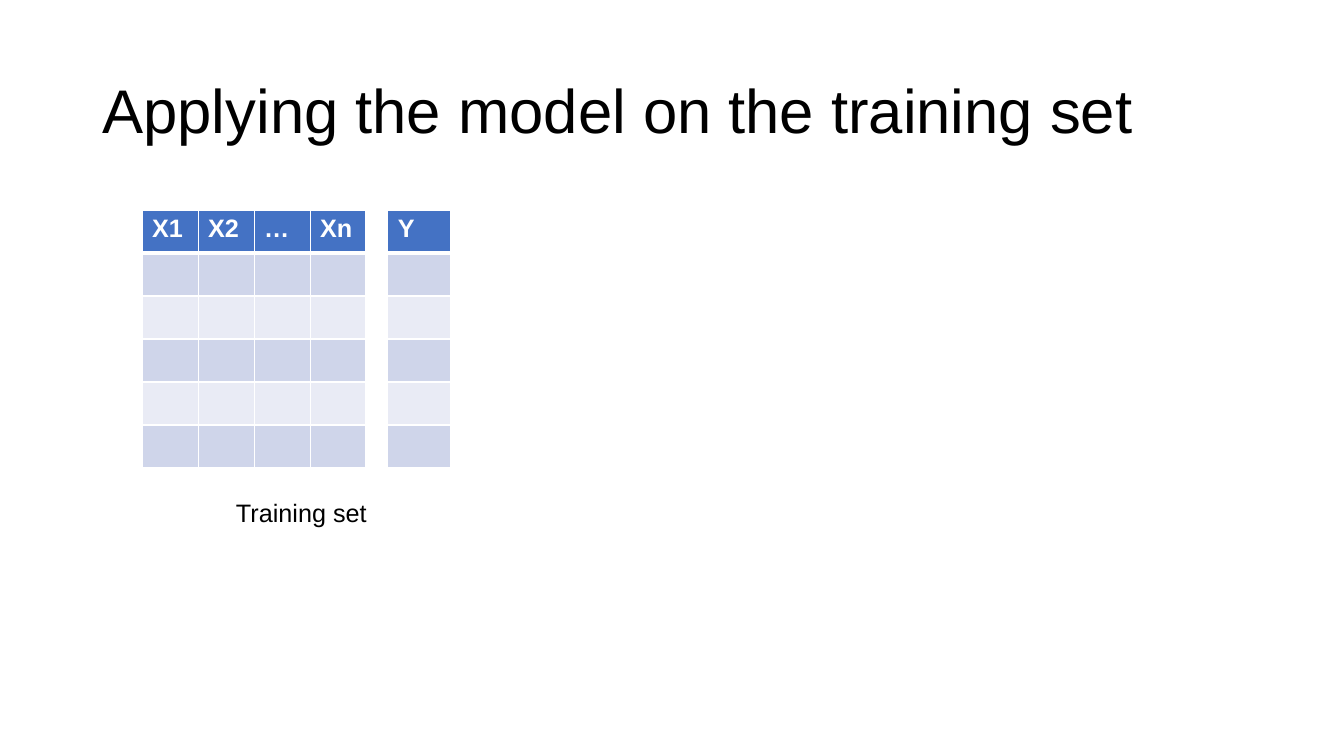
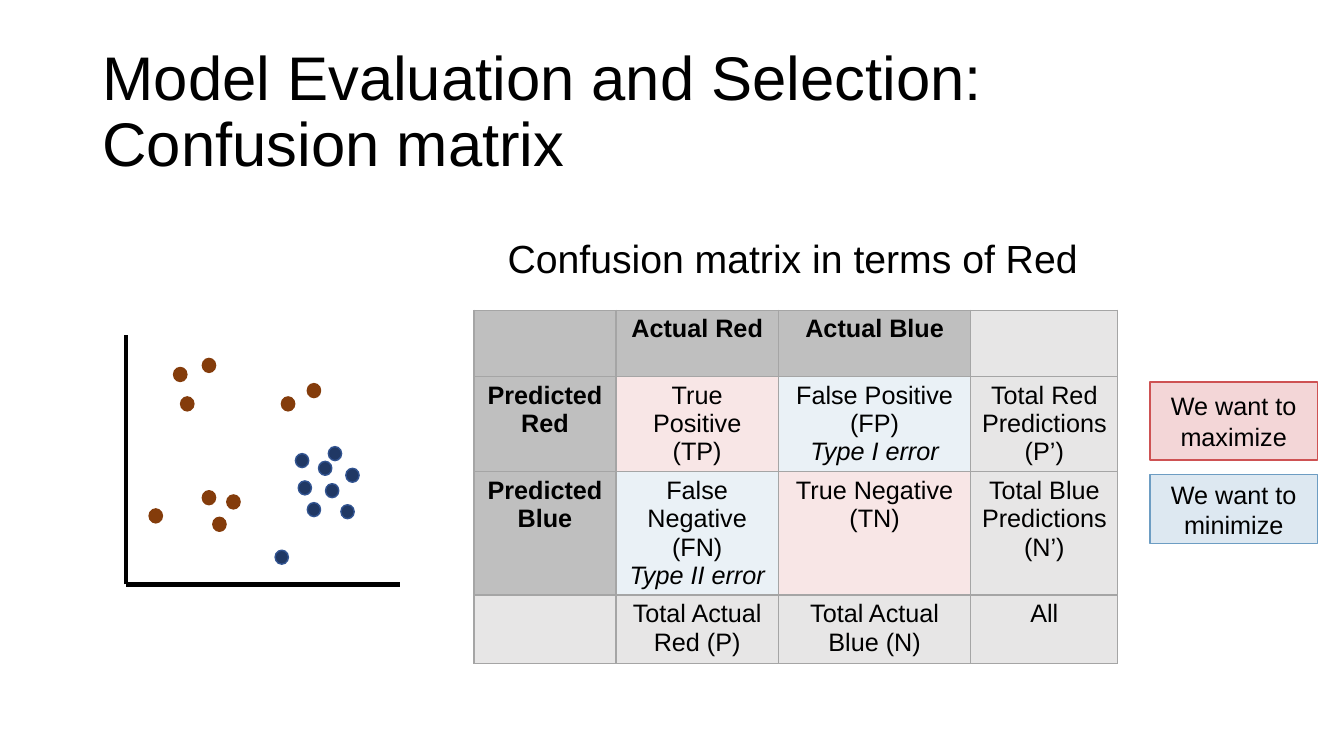
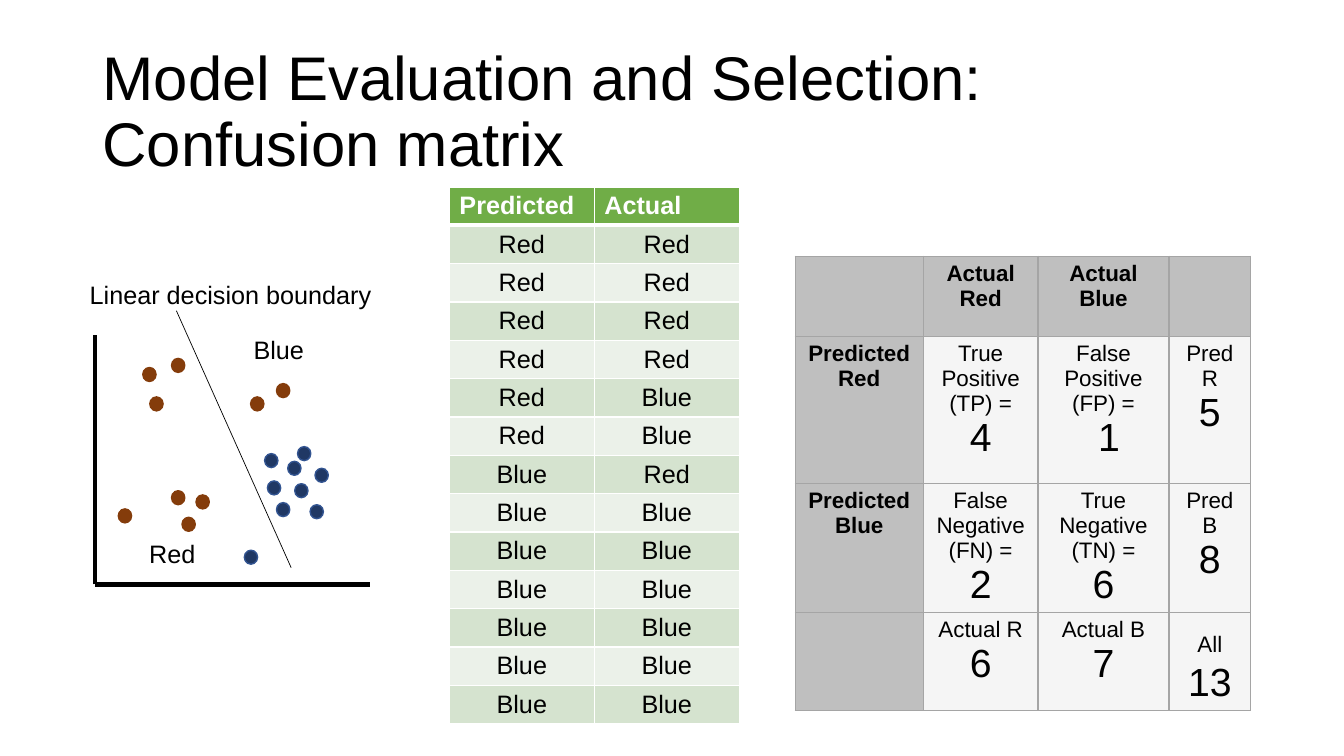
from dataclasses import dataclass

from lxml import etree
from pptx import Presentation
from pptx.dml.color import RGBColor
from pptx.enum import shapes, text
from pptx.oxml.ns import qn
from pptx.util import Pt

LEFT, CENTER = text.PP_ALIGN.LEFT, text.PP_ALIGN.CENTER


@dataclass(frozen=True)
class Theme:
    font: str = "Arial"
    ink: str = "000000"
    white: str = "FFFFFF"
    grid: str = "A5A5A5"
    good: str = "CE5253"
    bad: str = "6D9DC3"
    grey: str = "BFBFBF"
    total: str = "E7E6E6"
    red_dot: tuple = ("843C0B", "843C0B")
    blue_dot: tuple = ("203864", "325491")
    blue_bands: tuple = ("4472C4", "CFD5EA", "E9EBF5")
    green_bands: tuple = ("70AD47", "D5E3CF", "EBF1E9")
    title_size: int = 44
    large_size: int = 28
    body_size: int = 18
    small_size: int = 16


THEME = Theme()


@dataclass(frozen=True)
class CellStyle:
    fill: str
    opacity: int = 100
    ink: str = THEME.ink
    bold: bool = False
    align: int = CENTER


HEAD = CellStyle(THEME.grey, bold=True)
TOTAL = CellStyle(THEME.total)
GOOD = CellStyle(THEME.good, 14)
BAD = CellStyle(THEME.bad, 14)
COUNT = CellStyle(THEME.grey, 14)


def italic(words):
    return words, {"italic": True}


def large(words):
    return words, {"size": THEME.large_size}


# A cell is a string or a list of paragraphs; a paragraph is a list of runs.
TRAINING_TITLE = "Applying the model on the training set"
MATRIX_TITLE = "Model Evaluation and Selection: Confusion matrix"

FEATURES = ["X1", "X2", "…", "Xn"]
TRAINING_ROWS = 5

MATRIX = [
    ["", "Actual Red", "Actual Blue", ""],
    ["Predicted Red", "True Positive (TP)",
     [["False Positive (FP)"], [italic("Type I error")]],
     "Total Red Predictions(P’)"],
    ["Predicted Blue",
     [["False Negative (FN)"], [italic("Type II error")]],
     [["True Negative"], ["(TN)"]],
     [["Total Blue Predictions"], ["(N’)"]]],
    ["", "Total Actual Red (P)", "Total Actual Blue (N)", "All"],
]
MATRIX_STYLES = [
    [HEAD, HEAD, HEAD, TOTAL],
    [HEAD, GOOD, BAD, TOTAL],
    [HEAD, BAD, GOOD, TOTAL],
    [TOTAL] * 4,
]
GOALS = [  # label, colour, top, height
    ("We want to maximize", THEME.good, 273, 55.5),
    ("We want to minimize", THEME.bad, 339, 49.5),
]

COUNTS = [
    ["", "Actual Red", "Actual Blue", ""],
    ["Predicted Red",
     [["True Positive (TP) ="], [large("4")]],
     [["False Positive (FP) ="], [large(" 1")]],
     [["Pred R"], [large("5")]]],
    ["Predicted Blue",
     [["False Negative (FN) ="], [large("2")]],
     [["True Negative"], ["(TN) ="], [large("6")]],
     [["Pred B"], [large("8")]]],
    ["", [["Actual R ", large("6")]], [["Actual B ", large("7")]],
     [["All", large(" 13")]]],
]
COUNT_STYLES = [[HEAD] * 4] + [[HEAD] + [COUNT] * 3] * 3

PREDICTIONS = ([("Red", "Red")] * 4 + [("Red", "Blue")] * 2
               + [("Blue", "Red")] + [("Blue", "Blue")] * 6)

# Dots: left edge and top edge, measured right and up from the axes' corner.
RED_DOTS = [(34, 155), (54.5, 161.5), (39, 134), (111, 134), (54.5, 67),
            (62, 48), (72, 64), (129.5, 143.5), (16.5, 54)]
BLUE_DOTS = [(123, 74), (121, 93.5), (142.5, 72), (137.5, 88), (129.5, 58.5),
             (157, 83), (144.5, 98.5), (153.5, 57), (106.5, 24.5)]
AXIS_BASE, AXIS_WIDTH, AXIS_HEIGHT = 417.5, 196, 178
DOT_WIDTH, DOT_HEIGHT = 9.5, 10
REGION_LABELS = [  # label, left, top, width
    ("Blue", 174, 235.5, 51),
    ("Red", 99.5, 381, 47.5),
    ("Linear decision boundary", 57, 196, 217.5),
]


def box(*lengths):
    return [Pt(length) for length in lengths]


def set_font(font, size, color=THEME.ink, bold=False, italic=False):
    font.name, font.size = THEME.font, Pt(size)
    font.bold, font.italic = bold, italic
    font.color.rgb = RGBColor.from_string(color)


def paint(fill, properties, color, opacity=100):
    """Fill solidly; properties is the XML element that holds the fill."""
    fill.solid()
    fill.fore_color.rgb = RGBColor.from_string(color)
    if opacity < 100:
        tint = properties.find(qn("a:solidFill"))[0]
        etree.SubElement(tint, qn("a:alpha"), val=str(opacity * 1000))


def add_slide(deck, heading):
    slide = deck.slides.add_slide(deck.slide_layouts[5])
    title = slide.shapes.title
    title.left, title.top, title.width, title.height = box(66, 29, 828, 104.5)
    frame = title.text_frame
    frame.text = heading
    frame.auto_size = text.MSO_AUTO_SIZE.NONE
    frame.vertical_anchor = text.MSO_ANCHOR.MIDDLE
    paragraph = frame.paragraphs[0]
    paragraph.alignment, paragraph.line_spacing = LEFT, 0.9
    set_font(paragraph.runs[0].font, THEME.title_size)
    return slide


def add_label(slide, words, left, top, width, height=29,
              size=THEME.body_size):
    label = slide.shapes.add_textbox(*box(left, top, width, height))
    frame = label.text_frame
    frame.text = words
    frame.word_wrap = False
    frame.auto_size = text.MSO_AUTO_SIZE.SHAPE_TO_FIT_TEXT
    set_font(frame.paragraphs[0].runs[0].font, size)


def add_line(slide, start, end, weight):
    line = slide.shapes.add_connector(
        shapes.MSO_CONNECTOR.STRAIGHT, *box(*start, *end))
    line.line.color.rgb = RGBColor.from_string(THEME.ink)
    line.line.width = Pt(weight)
    etree.SubElement(line._element.spPr, qn("a:effectLst"))


def add_filled(slide, kind, bounds, fill, outline, opacity=100):
    shape = slide.shapes.add_shape(kind, *box(*bounds))
    shape.shadow.inherit = False
    paint(shape.fill, shape._element.spPr, fill, opacity)
    shape.line.color.rgb = RGBColor.from_string(outline)
    shape.line.width = Pt(1)
    return shape


def add_borders(cell, color, top, bottom):
    properties = cell._tc.get_or_add_tcPr()
    for side, weight in (("L", 1), ("R", 1), ("T", top), ("B", bottom)):
        edge = etree.SubElement(properties, qn(f"a:ln{side}"),
                                w=str(Pt(weight)))
        solid = etree.SubElement(edge, qn("a:solidFill"))
        etree.SubElement(solid, qn("a:srgbClr"), val=color)


def write_cell(cell, content, style, size):
    paragraphs = [[content]] if isinstance(content, str) else content
    frame = cell.text_frame
    for index, runs in enumerate(paragraphs):
        paragraph = frame.add_paragraph() if index else frame.paragraphs[0]
        paragraph.alignment = style.align
        for part in runs:
            words, look = (part, {}) if isinstance(part, str) else part
            if words:
                run = paragraph.add_run()
                run.text = words
                set_font(run.font, **{"size": size, "color": style.ink,
                                      "bold": style.bold, **look})


def add_grid(slide, left, top, widths, heights, cells, styles,
             border=THEME.grid, header_rule=1, size=THEME.body_size):
    frame = slide.shapes.add_table(
        len(heights), len(widths),
        *box(left, top, sum(widths), sum(heights)))
    table = frame.table
    table.first_row = table.horz_banding = False
    for column, width in zip(table.columns, widths):
        column.width = Pt(width)
    for r, height in enumerate(heights):
        table.rows[r].height = Pt(height)
        for c in range(len(widths)):
            cell, style = table.cell(r, c), styles[r][c]
            add_borders(cell, border,
                        top=header_rule if r == 1 else 1,
                        bottom=header_rule if r == 0 else 1)
            paint(cell.fill, cell._tc.tcPr, style.fill, style.opacity)
            write_cell(cell, cells[r][c], style, size)


def add_banded(slide, left, top, width, height, header, rows, colors):
    """Table with equal columns, equal rows and alternating row fills."""
    head, *bands = colors
    columns = len(header)
    styles = [[CellStyle(head, ink=THEME.white, bold=True, align=LEFT)]
              * columns]
    styles += [[CellStyle(bands[i % 2])] * columns for i in range(len(rows))]
    add_grid(slide, left, top, [width] * columns, [height] * len(styles),
             [header, *rows], styles, THEME.white, header_rule=3)


def add_scatter(slide, left):
    corner = (left, AXIS_BASE)
    add_line(slide, corner, (left, AXIS_BASE - AXIS_HEIGHT), 3)
    add_line(slide, corner, (left + AXIS_WIDTH, AXIS_BASE), 3)
    for dots, colors in ((RED_DOTS, THEME.red_dot),
                         (BLUE_DOTS, THEME.blue_dot)):
        for right, up in dots:
            add_filled(slide, shapes.MSO_SHAPE.OVAL,
                       (left + right, AXIS_BASE - up, DOT_WIDTH, DOT_HEIGHT),
                       *colors)


def training_slide(deck):
    slide = add_slide(deck, TRAINING_TITLE)
    for left, width, header in ((101.5, 40, FEATURES), (277, 45, ["Y"])):
        blank_rows = [[""] * len(header)] * TRAINING_ROWS
        add_banded(slide, left, 150, width, 30.7, header, blank_rows,
                   THEME.blue_bands)
    add_label(slide, "Training set", 161.5, 351.5, 108.5)


def matrix_slide(deck):
    slide = add_slide(deck, MATRIX_TITLE)
    add_grid(slide, 338.5, 221.5, [101.5, 116, 137.5, 105],
             [47.5, 68, 88, 49], MATRIX, MATRIX_STYLES)
    add_scatter(slide, 90)
    add_label(slide, "Confusion matrix in terms of Red", 355.5, 164, 443, 41,
              THEME.large_size)
    for words, color, top, height in GOALS:
        goal = add_filled(slide, shapes.MSO_SHAPE.RECTANGLE,
                          (821.5, top, 119.5, height), color, color, 23)
        goal.text_frame.text = words
        goal.text_frame.vertical_anchor = text.MSO_ANCHOR.MIDDLE
        paragraph = goal.text_frame.paragraphs[0]
        paragraph.alignment = CENTER
        set_font(paragraph.runs[0].font, THEME.body_size)


def counts_slide(deck):
    slide = add_slide(deck, MATRIX_TITLE)
    add_scatter(slide, 68)
    add_banded(slide, 321, 133.5, 103.5, 27.3, ["Predicted", "Actual"],
               PREDICTIONS, THEME.green_bands)
    add_grid(slide, 568, 183, [91.5, 82, 93.5, 58.5], [57.5, 105, 92, 70],
             COUNTS, COUNT_STYLES, size=THEME.small_size)
    add_line(slide, (126, 222), (208, 405.5), 0.5)
    for label in REGION_LABELS:
        add_label(slide, *label)


def main():
    deck = Presentation()
    deck.slide_width, deck.slide_height = box(960, 540)
    training_slide(deck)
    matrix_slide(deck)
    counts_slide(deck)
    deck.save("out.pptx")


if __name__ == "__main__":
    main()
